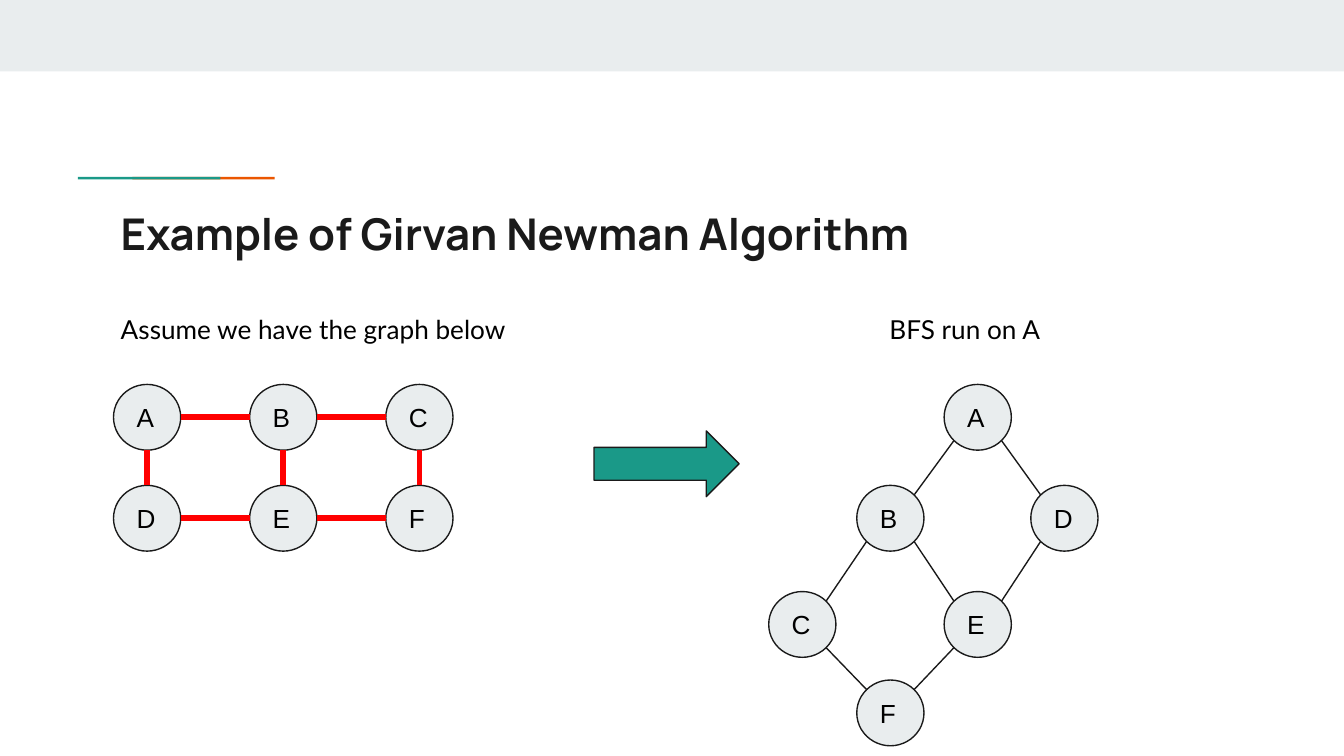
from math import sqrt

from lxml import etree
from pptx import Presentation
from pptx import util as u
from pptx.dml.color import RGBColor
from pptx.enum import shapes, text
from pptx.oxml.ns import qn

GREY = RGBColor(0xE9, 0xED, 0xEE)
TEAL = RGBColor(0x1A, 0x99, 0x88)
ORANGE = RGBColor(0xEB, 0x56, 0x00)
INK = RGBColor(0x1A, 0x1A, 0x1A)
BLACK = RGBColor(0, 0, 0)
RED = RGBColor(0xFF, 0, 0)

deck = Presentation()
deck.slide_width, deck.slide_height = u.Inches(10), u.Inches(5.625)
COL, ROW = deck.slide_width / 100, deck.slide_height / 100
slide = deck.slides.add_slide(deck.slide_layouts[6])
items = slide.shapes


def block(kind, left, top, wide, high, fill, edge=None):
    """Add a preset shape; lengths are in columns and rows."""
    shape = items.add_shape(kind, int(left * COL), int(top * ROW),
                            int(wide * COL), int(high * ROW))
    shape.shadow.inherit = False
    shape.fill.solid()
    shape.fill.fore_color.rgb = fill
    if edge is None:
        shape.line.fill.background()
    else:
        shape.line.color.rgb = edge
        shape.line.width = u.Pt(0.75)
    return shape


def write(shape, words, font, size, color, bold=False):
    frame = shape.text_frame
    frame.word_wrap = True
    frame.margin_left = frame.margin_right = u.Inches(0.1)
    frame.margin_top = frame.margin_bottom = u.Inches(0.1)
    line = frame.paragraphs[0]
    line.text = words
    line.alignment = text.PP_ALIGN.LEFT
    line.font.name, line.font.size = font, u.Pt(size)
    line.font.bold, line.font.color.rgb = bold, color


# Top band and the two overlapping accent bars
KIND = shapes.MSO_SHAPE
block(KIND.RECTANGLE, 0, 0, 100, 9.45, GREY)
block(KIND.RECTANGLE, 9.85, 23.4, 10.6, 0.35, ORANGE)
block(KIND.RECTANGLE, 5.8, 23.4, 10.6, 0.35, TEAL)

# Title and captions
for words, left, top, wide, high, font, size, color, bold in (
    ("Example of Girvan Newman Algorithm", 8, 25.6, 84.1, 10.5,
     "Manrope", 23.4, INK, True),
    ("Assume we have the graph below", 8, 39.65, 31.2, 7.8,
     "Lato", 14, BLACK, False),
    ("BFS run on A", 65.2, 39.65, 16.4, 7.8, "Lato", 14, BLACK, False),
):
    box = items.add_textbox(int(left * COL), int(top * ROW),
                            int(wide * COL), int(high * ROW))
    write(box, words, font, size, color, bold)

block(KIND.RIGHT_ARROW, 44.2, 57, 10.8, 8.7, TEAL, INK)

# Node centres in columns and rows, then the edges between them
WIDE, HIGH = 5, 8.7
FIRST, NEXT = 55.2, 68.55
grid = {name: (10.95 + 10.13 * (i % 3), (FIRST, NEXT)[i // 3])
        for i, name in enumerate("ABCDEF")}
tree = {"A": (72.75, FIRST), "B": (66.25, NEXT), "D": (79.2, NEXT),
        "C": (59.7, 82.6), "E": (72.75, 82.6), "F": (66.25, 94.3)}

for nodes, edges, color, weight in (
    (grid, "AB BC AD BE CF DE EF", RED, 3),
    (tree, "AB AD BC BE DE CF EF", INK, 0.75),
):
    for name, (x, y) in nodes.items():
        node = block(KIND.OVAL, x - WIDE / 2, y - HIGH / 2, WIDE, HIGH, GREY, INK)
        write(node, name, "Arial", 14, BLACK)
        node.text_frame.vertical_anchor = text.MSO_ANCHOR.MIDDLE

    for start, end in edges.split():
        (x1, y1), (x2, y2) = nodes[start], nodes[end]
        # Edges leave a circle straight or at 45 degrees
        right, down = (x2 > x1) - (x2 < x1), (y2 > y1) - (y2 < y1)
        reach = sqrt(0.5) if right and down else 1
        dx, dy = right * reach * WIDE / 2, down * reach * HIGH / 2
        edge = items.add_connector(
            shapes.MSO_CONNECTOR.STRAIGHT,
            int((x1 + dx) * COL), int((y1 + dy) * ROW),
            int((x2 - dx) * COL), int((y2 - dy) * ROW))
        edge.line.color.rgb = color
        edge.line.width = u.Pt(weight)
        etree.SubElement(edge._element.spPr, qn("a:effectLst"))

deck.save("out.pptx")
